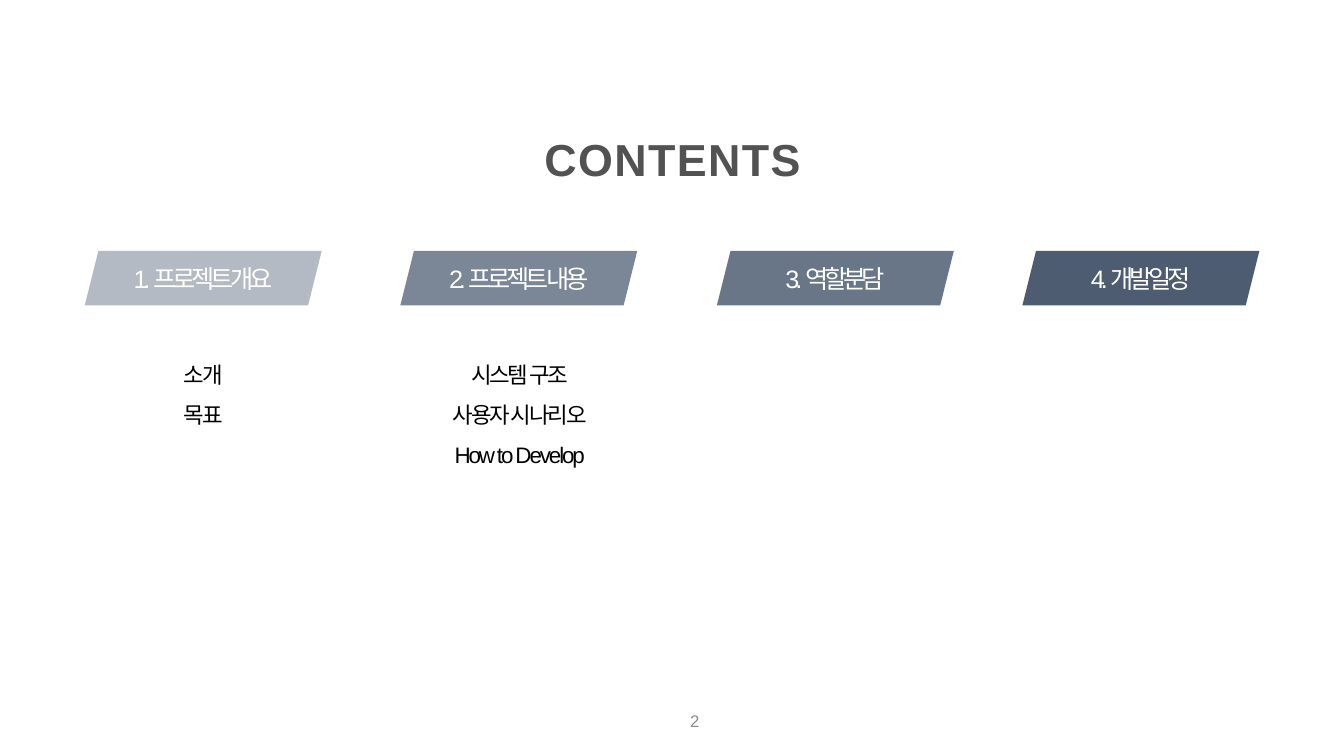
"""Build a contents slide with four section banners and their topics."""
import dataclasses

import lxml.etree
import pptx
import pptx.dml.color
import pptx.enum.shapes
import pptx.enum.text
import pptx.oxml.ns
import pptx.util
from pptx.util import Inches


@dataclasses.dataclass(frozen=True)
class Theme:
    font: str = "Arial"
    title: str = "525252"
    banner: str = "44546A"
    banner_text: str = "FFFFFF"
    topic: str = "000000"
    number: str = "8C8C8C"
    title_size: int = 32
    banner_size: int = 18
    topic_size: int = 16
    number_size: int = 12


theme = Theme()


def write_lines(shape, lines, size, color, spacing=0, leading=None, bold=False):
    frame = shape.text_frame
    for index, line in enumerate(lines):
        para = frame.paragraphs[0] if index == 0 else frame.add_paragraph()
        para.alignment = pptx.enum.text.PP_ALIGN.CENTER
        para.line_spacing = leading
        span = para.add_run()
        span.text = line
        span.font.name = theme.font
        span.font.size = pptx.util.Pt(size)
        span.font.bold = bold
        span.font.color.rgb = pptx.dml.color.RGBColor.from_string(color)
        if spacing:
            span.font._element.set("spc", str(int(spacing * 100)))


def add_label(page, left, top, width, height, wrap=False):
    box = page.shapes.add_textbox(Inches(left), Inches(top), Inches(width), Inches(height))
    box.text_frame.word_wrap = wrap
    if not wrap:
        box.text_frame.auto_size = pptx.enum.text.MSO_AUTO_SIZE.SHAPE_TO_FIT_TEXT
    return box


deck = pptx.Presentation()
deck.slide_width = Inches(13.33)
deck.slide_height = Inches(7.5)
page = deck.slides.add_slide(deck.slide_layouts[6])

title = add_label(page, 5.28, 1.15, 2.78, 0.69)
write_lines(title, ["CONTENTS"], theme.title_size, theme.title, 1, 1.2, True)

sections = [
    ("1. 프로젝트 개요", 0.84, 40),
    ("2. 프로젝트 내용", 3.97, 70),
    ("3. 역할분담", 7.11, 80),
    ("4. 개발일정", 10.14, 95),
]
for heading, left, opacity in sections:
    banner = page.shapes.add_shape(
        pptx.enum.shapes.MSO_SHAPE.PARALLELOGRAM,
        Inches(left), Inches(2.49), Inches(2.35), Inches(0.54),
    )
    banner.shadow.inherit = False
    banner.line.fill.background()
    banner.fill.solid()
    banner.fill.fore_color.rgb = pptx.dml.color.RGBColor.from_string(theme.banner)
    tint = banner._element.spPr.find(".//" + pptx.oxml.ns.qn("a:srgbClr"))
    alpha = lxml.etree.SubElement(tint, pptx.oxml.ns.qn("a:alpha"))
    alpha.set("val", str(opacity * 1000))
    banner.text_frame.vertical_anchor = pptx.enum.text.MSO_ANCHOR.MIDDLE
    write_lines(banner, [heading], theme.banner_size, theme.banner_text, -3)

topic_lists = [
    (["소개", "목표"], 1.71, 0.61, 0.86),
    (["시스템 구조", "사용자 시나리오", "How to Develop"], 4.32, 1.67, 1.26),
]
for topics, left, width, height in topic_lists:
    topic_box = add_label(page, left, 3.4, width, height)
    write_lines(topic_box, topics, theme.topic_size, theme.topic, -1.5, 1.5)

page_number = add_label(page, 5.39, 6.95, 3, 0.4, wrap=True)
page_number.text_frame.vertical_anchor = pptx.enum.text.MSO_ANCHOR.MIDDLE
write_lines(page_number, ["2"], theme.number_size, theme.number)

deck.save("out.pptx")
